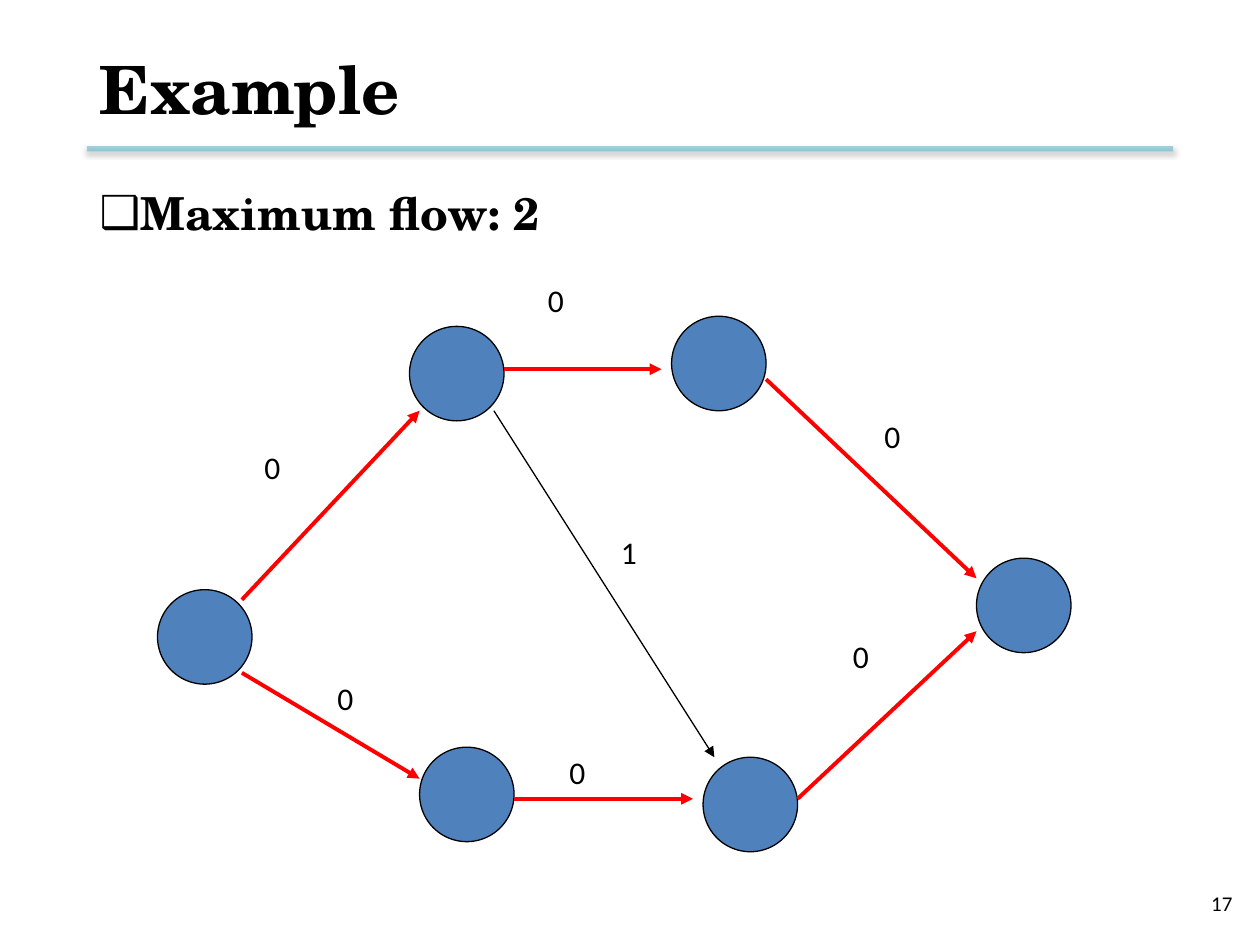
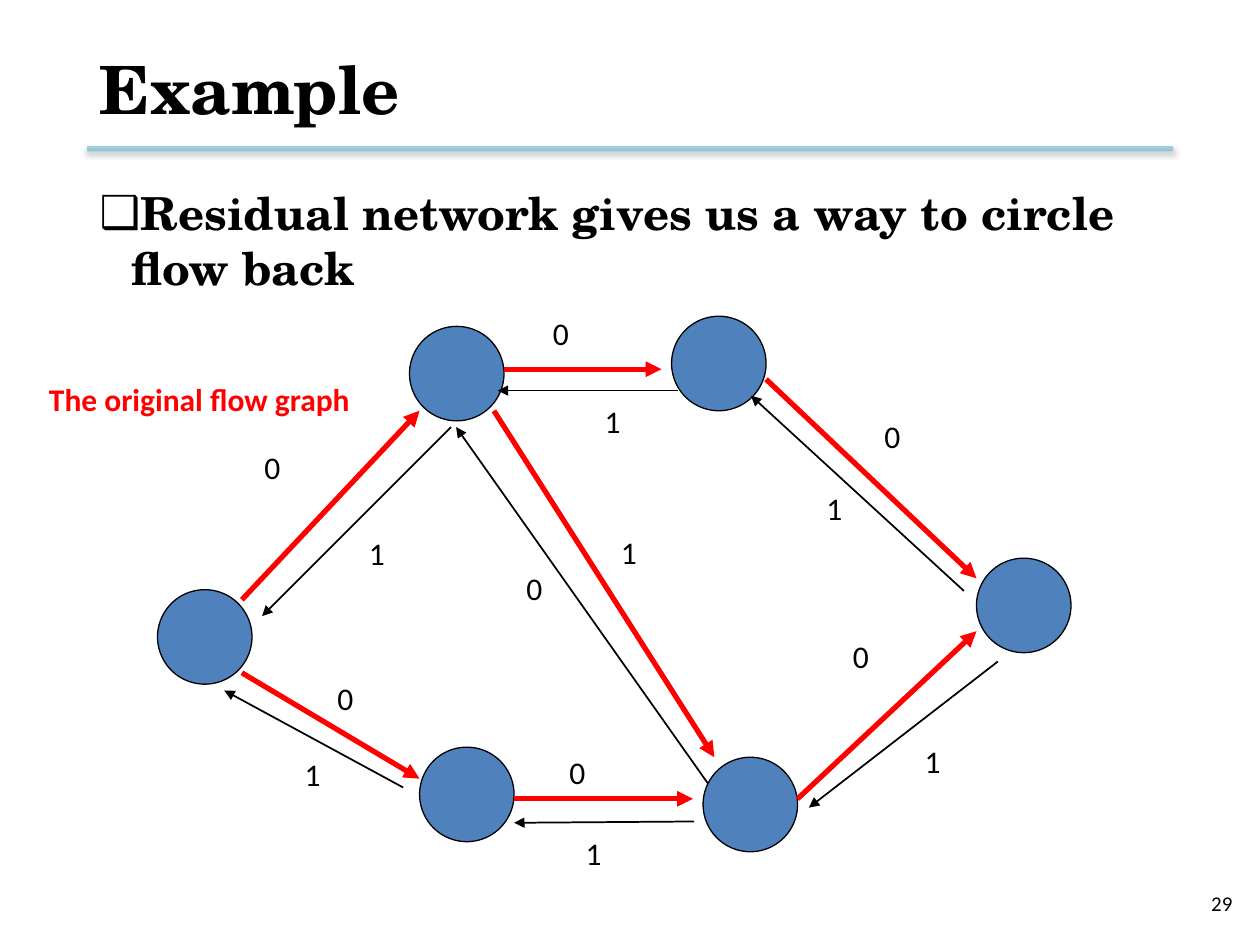
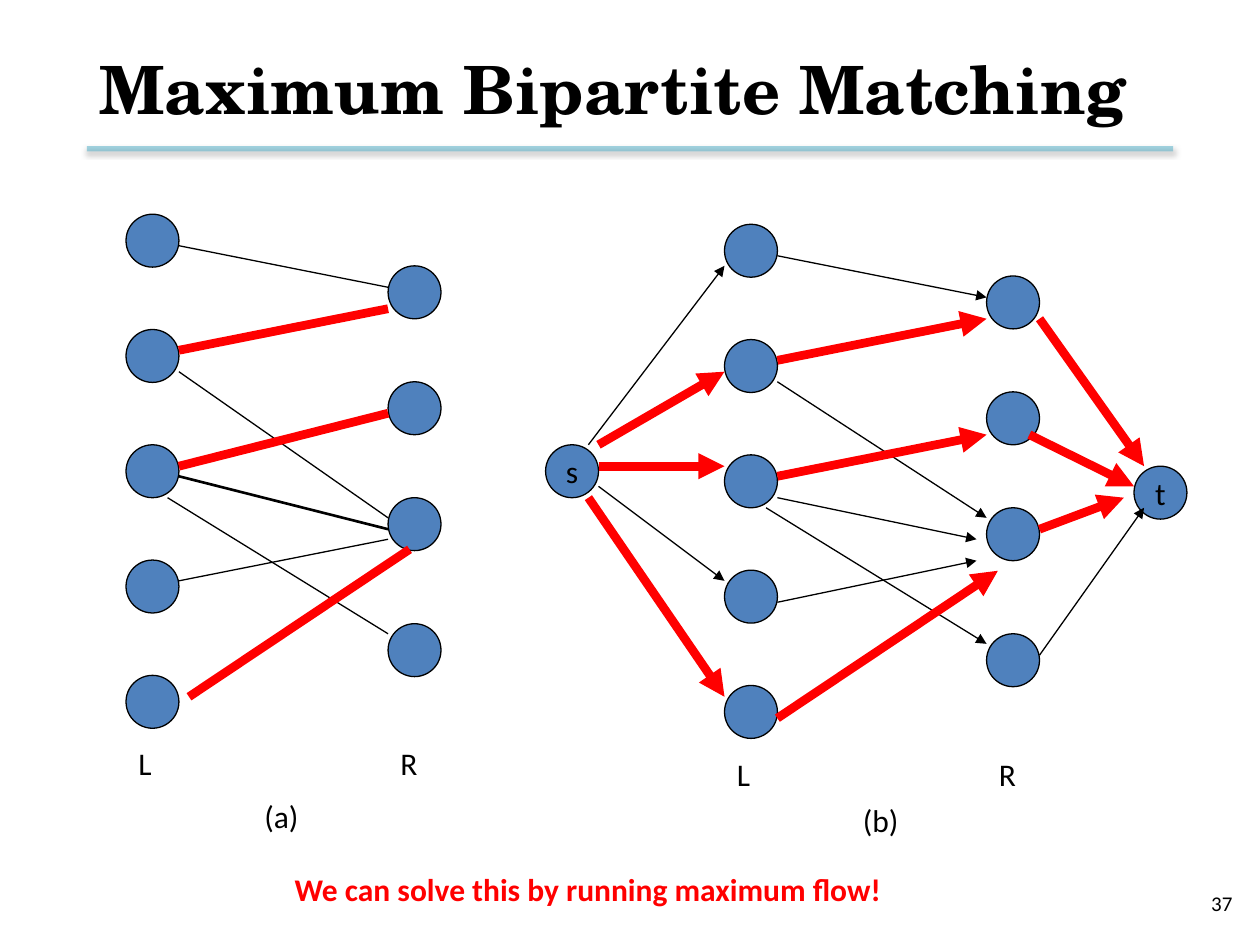
from lxml import etree
from pptx import Presentation
from pptx.dml.color import RGBColor
from pptx.enum.shapes import MSO_CONNECTOR, MSO_SHAPE
from pptx.enum.text import MSO_ANCHOR, MSO_AUTO_SIZE, PP_ALIGN
from pptx.oxml.ns import qn
from pptx.util import Inches, Pt

# Shared look
BLACK = RGBColor(0x00, 0x00, 0x00)
RED = RGBColor(0xFF, 0x00, 0x00)
NODE_BLUE = RGBColor(0x4F, 0x81, 0xBD)
RULE_TEAL = RGBColor(0x4B, 0xAC, 0xC6)
HEAD_FONT, TEXT_FONT = "TeX Gyre Schola", "Calibri"
TITLE_AT = (0.69, 0.17, 8.62, 1.06)
BODY_AT = (0.69, 1.42, 8.62, 5.1)
NUMBER_AT = (7.55, 6.97, 2.33, 0.4)
RULE = (0.69, 1.18, 9.31, 1.18)
TITLE_AND_BODY, TITLE_ONLY = 1, 5

# Flow network: nodes (left, top), edges (x1, y1, x2, y2), labels (text, left, top, width)
FLOW_NODE_SIZE = 0.75
FLOW_NODES = [(1.25, 4.68), (3.33, 5.93), (3.25, 2.59), (7.75, 4.43), (5.58, 6.01), (5.33, 2.51)]
FLOW_PATHS = [
    (1.92, 4.76, 3.33, 3.26), (1.92, 5.34, 3.33, 6.18), (4, 2.93, 5.25, 2.93),
    (4.08, 6.34, 5.5, 6.34), (6.08, 3.01, 7.75, 4.59), (6.33, 6.34, 7.75, 5.01),
]
CROSS_EDGE = (3.92, 3.26, 5.67, 6.01)
FLOW_LABELS = [
    ("0", 2, 3.51, 0.58), ("0", 6.67, 5.01, 0.67), ("0", 2.58, 5.34, 0.42),
    ("0", 4.42, 5.93, 0.5), ("0", 6.92, 3.26, 0.67), ("1", 4.83, 4.18, 0.67),
]
RESIDUAL_EDGES = [
    (3.58, 3.39, 2.08, 4.89), (5.62, 6.22, 3.62, 3.39), (7.92, 5.25, 6.42, 6.41),
    (3.2, 6.25, 1.78, 5.48), (5.51, 6.52, 4.08, 6.53), (5.38, 3.1, 3.95, 3.1),
    (7.65, 4.69, 5.96, 3.14),
]
RESIDUAL_LABELS = [
    ("1", 2.83, 4.19, 0.58), ("0", 4.08, 4.47, 0.58), ("1", 7.24, 5.84, 0.58),
    ("1", 2.32, 5.94, 0.58), ("1", 4.55, 6.57, 0.58), ("1", 4.7, 3.14, 0.58),
    ("1", 6.46, 3.83, 0.58),
]
FLOW_SLIDES = [
    dict(number="17", title="Example", point="Maximum flow: 2",
         path_width=2.25, cross_edge=(BLACK, 0.75), residual_edges=[],
         labels=FLOW_LABELS + [("0", 4.25, 2.18, 0.83)], note=None),
    dict(number="29", title="Example",
         point="Residual network gives us a way to circle flow back",
         path_width=3, cross_edge=(RED, 3), residual_edges=RESIDUAL_EDGES,
         labels=FLOW_LABELS + [("0", 4.29, 2.44, 0.83)] + RESIDUAL_LABELS,
         note=("The original flow graph", 0.29, 2.97, 2.61)),
]

# Bipartite matching: (b) repeats the nodes of (a), shifted
MATCH_NODE_SIZE = 0.42
LEFT_X, RIGHT_X = 1, 3.08
LEFT_TOPS = [1.7 + 0.915 * row for row in range(5)]
RIGHT_TOPS = [2.11, 3.03, 3.95, 4.95]
SIDE_LABEL_TOP = 5.86
SHIFT_B = (4.75, 0.08)
MATCHING_A = {
    (BLACK, 0.75): [
        (1.42, 1.95, 3.08, 2.28), (1.42, 2.95, 3.08, 4.11),
        (1.33, 3.95, 3.08, 5.03), (1.42, 4.61, 3.08, 4.28)],
    (BLACK, 1.5): [(1.42, 3.78, 3.08, 4.2)],
    (RED, 5): [(1.42, 2.78, 3.08, 2.45), (1.42, 3.7, 3.08, 3.28), (1.5, 5.53, 3.25, 4.36)],
}
MATCHING_B = {
    (BLACK, 0.75): [
        (6.17, 2.03, 7.83, 2.36), (6.17, 3.03, 7.83, 4.11), (6.17, 3.95, 7.75, 4.28),
        (6.08, 4.03, 7.83, 5.11), (6.17, 4.78, 7.75, 4.45), (4.67, 3.53, 5.75, 2.11),
        (4.75, 3.86, 5.75, 4.61), (8.25, 5.2, 9.08, 4.03)],
    (RED, 5): [
        (6.17, 2.86, 7.83, 2.53), (6.17, 3.78, 7.83, 3.45), (6.17, 5.7, 7.92, 4.53),
        (4.75, 3.53, 5.75, 2.95), (4.75, 3.7, 5.75, 3.7), (4.67, 3.95, 5.75, 5.53),
        (8.25, 2.53, 9.08, 3.7), (8.17, 3.45, 9, 3.86), (8.25, 4.2, 8.92, 3.95)],
}
TERMINALS = [("s", 4.33, 3.53), ("t", 9, 3.7)]
CAPTION_A = ("(a)", 2, 6.28, 0.57)
CAPTION_B = ("(b)", 6.75, 6.31, 0.59)
CONCLUSION = ("We can solve this by running maximum flow!", 2.24, 6.86, 4.9)


def write(paragraph, text, size, font=TEXT_FONT, color=BLACK, bold=False):
    run = paragraph.add_run()
    run.text = text
    run.font.size, run.font.name, run.font.bold = Pt(size), font, bold
    run.font.color.rgb = color


def place(shape, at):
    shape.left, shape.top, shape.width, shape.height = map(Inches, at)


def add_label(shapes, text, left, top, width, height=0.4, wrap=True, color=BLACK, bold=False):
    frame = shapes.add_textbox(*map(Inches, (left, top, width, height))).text_frame
    frame.word_wrap = wrap
    frame.auto_size = MSO_AUTO_SIZE.SHAPE_TO_FIT_TEXT
    write(frame.paragraphs[0], text, 18, color=color, bold=bold)


def add_node(shapes, left, top, size, name=None):
    node = shapes.add_shape(MSO_SHAPE.OVAL, *map(Inches, (left, top, size, size)))
    node.shadow.inherit = False
    node.fill.solid()
    node.fill.fore_color.rgb = NODE_BLUE
    node.line.color.rgb = BLACK
    node.line.width = Pt(0.75)
    if name:
        frame = node.text_frame
        frame.word_wrap = False
        frame.vertical_anchor = MSO_ANCHOR.MIDDLE
        frame.paragraphs[0].alignment = PP_ALIGN.CENTER
        write(frame.paragraphs[0], name, 18)


def add_line(shapes, ends, color, width, arrow=False):
    """Draw a straight line; return it with its empty effect list."""
    line = shapes.add_connector(MSO_CONNECTOR.STRAIGHT, *map(Inches, ends))
    line.line.color.rgb = color
    line.line.width = Pt(width)
    properties = line._element.spPr
    if arrow:
        etree.SubElement(properties.find(qn("a:ln")), qn("a:tailEnd"), type="triangle")
    return line, etree.SubElement(properties, qn("a:effectLst"))


def add_alpha(color_element, percent):
    etree.SubElement(color_element, qn("a:alpha"), val=str(percent * 1000))


def add_rule(shapes):
    rule, effects = add_line(shapes, RULE, RULE_TEAL, 3)
    add_alpha(rule._element.spPr.find(".//" + qn("a:srgbClr")), 50)
    shadow = etree.SubElement(effects, qn("a:outerShdw"), blurRad=str(Pt(3.1)),
                              dist=str(Pt(1.6)), dir="5400000", rotWithShape="0")
    add_alpha(etree.SubElement(shadow, qn("a:srgbClr"), val=str(BLACK)), 38)


def start_slide(deck, layout, title, number):
    slide = deck.slides.add_slide(deck.slide_layouts[layout])
    add_rule(slide.shapes)

    number_box = slide.shapes.add_textbox(*map(Inches, NUMBER_AT)).text_frame
    number_box.word_wrap = True
    number_box.vertical_anchor = MSO_ANCHOR.MIDDLE
    number_box.paragraphs[0].alignment = PP_ALIGN.RIGHT
    write(number_box.paragraphs[0], number, 12)

    heading = slide.shapes.title
    place(heading, TITLE_AT)
    frame = heading.text_frame
    frame.auto_size = MSO_AUTO_SIZE.NONE
    frame.vertical_anchor = MSO_ANCHOR.MIDDLE
    frame.paragraphs[0].alignment = PP_ALIGN.LEFT
    write(frame.paragraphs[0], title, 38, HEAD_FONT, bold=True)
    return slide


def add_point(slide, text):
    body = slide.placeholders[1]
    place(body, BODY_AT)
    body.text_frame.auto_size = MSO_AUTO_SIZE.NONE
    paragraph = body.text_frame.paragraphs[0]
    properties = paragraph._p.get_or_add_pPr()
    properties.set("marL", str(Inches(0.25)))
    properties.set("indent", str(Inches(-0.45)))
    etree.SubElement(properties, qn("a:buChar"), char="❑")
    paragraph.space_before = Pt(0)
    write(paragraph, text, 26, HEAD_FONT, bold=True)


def build_flow_slide(deck, content):
    slide = start_slide(deck, TITLE_AND_BODY, content["title"], content["number"])
    add_point(slide, content["point"])
    shapes = slide.shapes
    for left, top in FLOW_NODES:
        add_node(shapes, left, top, FLOW_NODE_SIZE)
    for ends in FLOW_PATHS:
        add_line(shapes, ends, RED, content["path_width"], arrow=True)
    add_line(shapes, CROSS_EDGE, *content["cross_edge"], arrow=True)
    for ends in content["residual_edges"]:
        add_line(shapes, ends, BLACK, 1, arrow=True)
    for label in content["labels"]:
        add_label(shapes, *label)
    if content["note"]:
        add_label(shapes, *content["note"], wrap=False, color=RED, bold=True)


def add_bipartite(shapes, edges, caption, shift=(0, 0), terminals=(), arrow=False):
    dx, dy = shift
    for side, x, tops in (("L", LEFT_X, LEFT_TOPS), ("R", RIGHT_X, RIGHT_TOPS)):
        for top in tops:
            add_node(shapes, x + dx, top + dy, MATCH_NODE_SIZE)
        add_label(shapes, side, x + dx, SIDE_LABEL_TOP + dy, MATCH_NODE_SIZE, 0.5)
    for name, left, top in terminals:
        add_node(shapes, left, top, MATCH_NODE_SIZE, name)
    for (color, width), lines in edges.items():
        for ends in lines:
            add_line(shapes, ends, color, width, arrow)
    add_label(shapes, *caption, height=0.5, wrap=False)


def build_matching_slide(deck):
    shapes = start_slide(deck, TITLE_ONLY, "Maximum Bipartite Matching", "37").shapes
    add_bipartite(shapes.add_group_shape().shapes, MATCHING_A, CAPTION_A)
    add_bipartite(shapes, MATCHING_B, CAPTION_B, SHIFT_B, TERMINALS, arrow=True)
    add_label(shapes, *CONCLUSION, wrap=False, color=RED, bold=True)


def main():
    deck = Presentation()
    deck.slide_width, deck.slide_height = Inches(10), Inches(7.5)
    for content in FLOW_SLIDES:
        build_flow_slide(deck, content)
    build_matching_slide(deck)
    deck.save("out.pptx")


if __name__ == "__main__":
    main()
